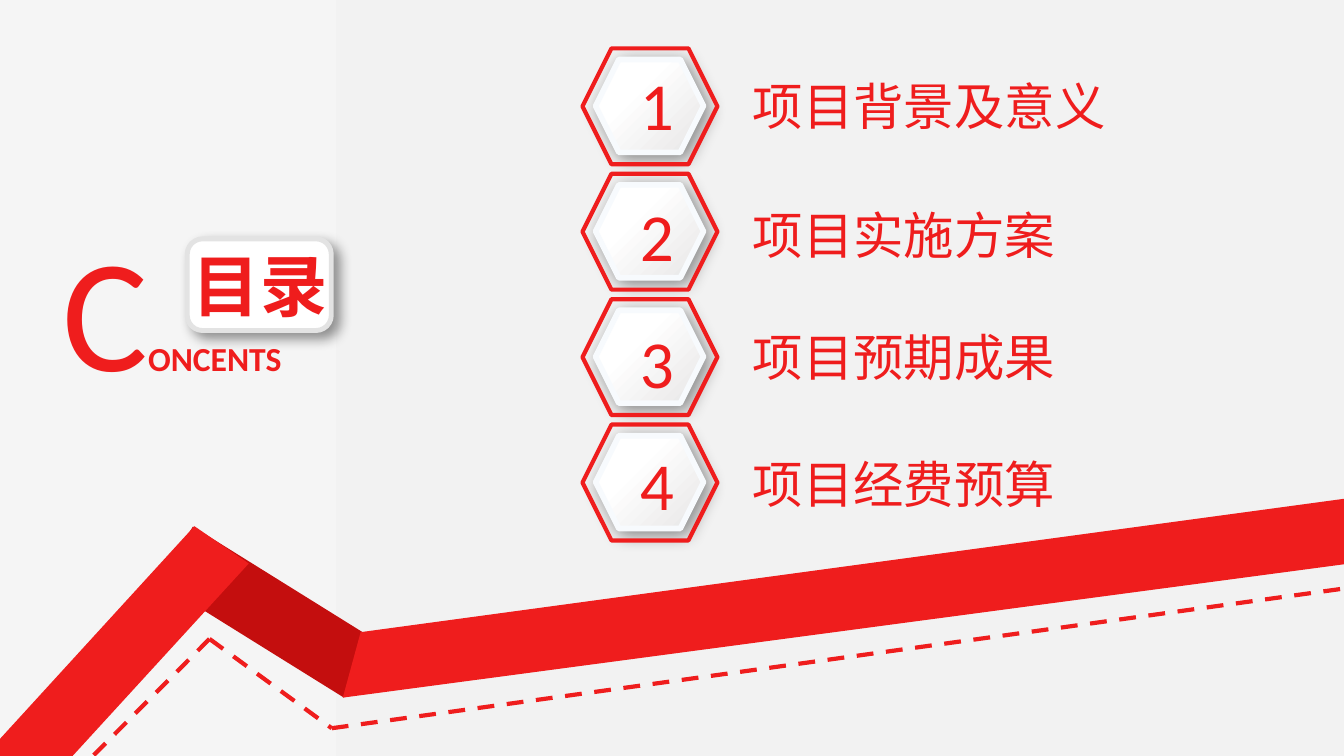
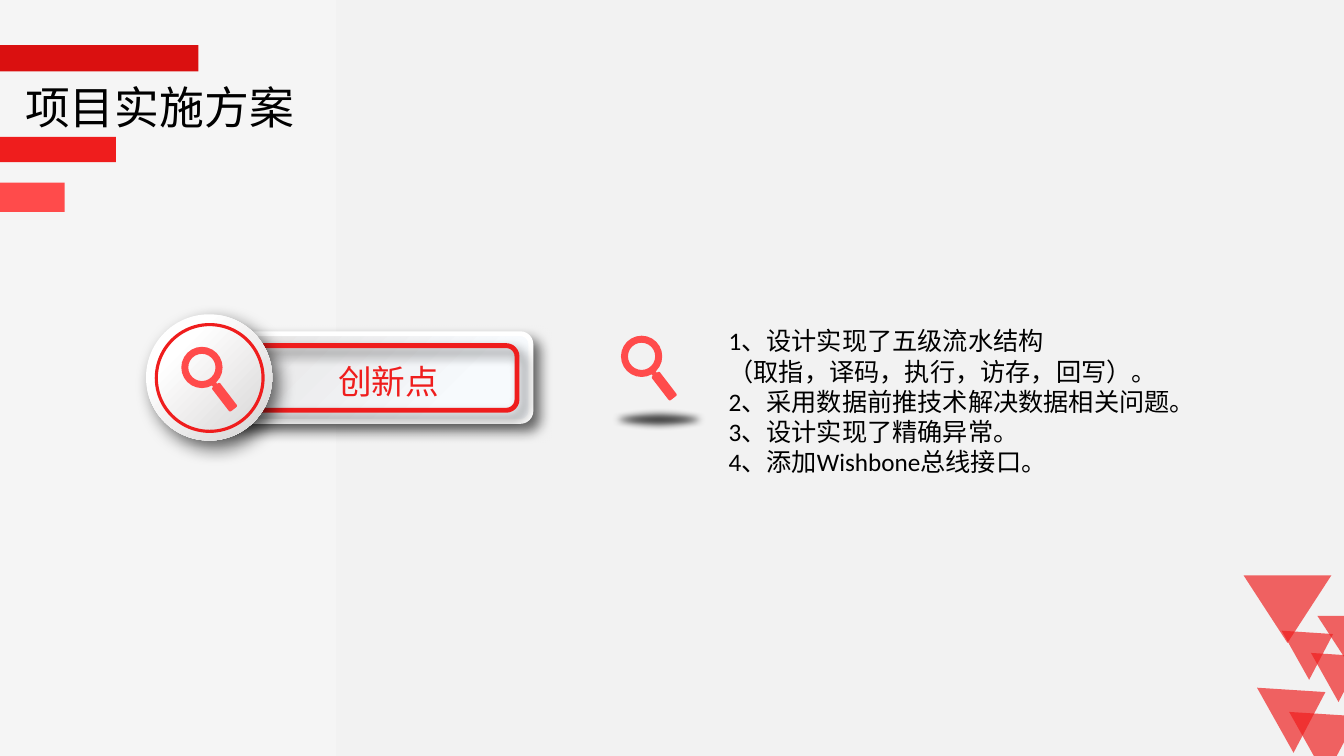
from lxml.etree import SubElement
from pptx import Presentation
from pptx.dml.color import RGBColor
from pptx.enum.dml import MSO_LINE
from pptx.enum.shapes import MSO_CONNECTOR, MSO_SHAPE
from pptx.enum.text import MSO_ANCHOR, PP_ALIGN
from pptx.oxml.ns import qn
from pptx.util import Cm, Pt

RECTANGLE, ROUNDED = MSO_SHAPE.RECTANGLE, MSO_SHAPE.ROUNDED_RECTANGLE
HEXAGON, OVAL = MSO_SHAPE.HEXAGON, MSO_SHAPE.OVAL
DONUT, TRIANGLE = MSO_SHAPE.DONUT, MSO_SHAPE.ISOSCELES_TRIANGLE
STRAIGHT, DASH = MSO_CONNECTOR.STRAIGHT, MSO_LINE.DASH
LEFT, CENTER, TOP = PP_ALIGN.LEFT, PP_ALIGN.CENTER, MSO_ANCHOR.TOP

COLORS = {
    "red": "EF1D1D", "dark": "C40E0E", "deep": "DA1010", "coral": "FF4B4B",
    "white": "FFFFFF", "black": "000000", "ice": "F7FAFD", "rim": "E3E3E3",
    "silver": "E7E6E6", "steel": "D6D4D4", "mist": "E3E1E1", "smoke": "404040",
    "page_left": "F5F5F5", "page": "F2F2F2",
}
CHINESE, LATIN = "Noto Sans CJK SC", "Calibri"
TITLE_ONLY = 5


def rgb(name):
    return RGBColor.from_string(COLORS[name])


def apply_gradient(fill, stops, angle=0):
    """Two stops of (position, colour); the angle runs clockwise."""
    fill.gradient()
    fill.gradient_angle = (360 - angle) % 360
    for stop, (position, color) in zip(fill.gradient_stops, stops):
        stop.position = position
        stop.color.rgb = rgb(color)


def add_effect(shape, tag, **attributes):
    effects = shape._element.spPr.find(qn("a:effectLst"))
    return SubElement(effects, qn(tag), {key: str(value) for key, value in attributes.items()})


def add_shadow(shape, opacity, blur, distance, angle=45):
    shadow = add_effect(shape, "a:outerShdw", blurRad=Pt(blur), dist=Pt(distance),
                        dir=angle * 60000, algn="tl", rotWithShape=0)
    color = SubElement(shadow, qn("a:srgbClr"), val=COLORS["black"])
    SubElement(color, qn("a:alpha"), val=str(opacity * 1000))


def format_shape(shape, fill=None, line=None, width=1, shadow=None, opacity=None):
    shape.shadow.inherit = False
    if fill is None:
        shape.fill.background()
    elif isinstance(fill, str):
        shape.fill.solid()
        shape.fill.fore_color.rgb = rgb(fill)
    else:
        apply_gradient(shape.fill, fill, 45)
    if opacity:
        color = shape._element.spPr.find(qn("a:solidFill"))[0]
        SubElement(color, qn("a:alpha"), val=str(opacity * 1000))
    if line:
        shape.line.color.rgb = rgb(line)
        shape.line.width = Pt(width)
    else:
        shape.line.fill.background()
    if shadow:
        add_shadow(shape, *shadow)
    return shape


def add_shape(owner, kind, box, rotation=0, adjustment=None, **style):
    shape = owner.shapes.add_shape(kind, *map(Cm, box))
    shape.rotation = rotation
    if adjustment is not None:
        shape.adjustments[0] = adjustment
    return format_shape(shape, **style)


def add_polygon(slide, points, **style):
    corners = [(Cm(x), Cm(y)) for x, y in points]
    builder = slide.shapes.build_freeform(*corners[0])
    builder.add_line_segments(corners[1:], close=True)
    return format_shape(builder.convert_to_shape(), **style)


def add_dashed_line(slide, start, end):
    connector = slide.shapes.add_connector(STRAIGHT, *map(Cm, start + end))
    connector.line.color.rgb = rgb("red")
    connector.line.width = Pt(3)
    connector.line.dash_style = DASH
    SubElement(connector._element.spPr, qn("a:effectLst"))


def format_run(run, size, color="red", font=CHINESE, bold=False):
    run.font.size = Pt(size)
    run.font.bold = bold
    run.font.name = font
    run.font.color.rgb = rgb(color)
    SubElement(run.font._element, qn("a:ea"), typeface=CHINESE)


def write_text(shape, text, align=LEFT, wrap=True, **style):
    frame = shape.text_frame
    frame.word_wrap = wrap
    frame.vertical_anchor = TOP
    frame.text = text
    for paragraph in frame.paragraphs:
        paragraph.alignment = align
        for run in paragraph.runs:
            format_run(run, **style)
    return shape


def add_text(slide, text, box, **style):
    return write_text(slide.shapes.add_textbox(*map(Cm, box)), text, **style)


def add_title(slide, text, box, **style):
    """Format the title placeholder and bring it to the front."""
    title = slide.shapes.title
    title.left, title.top, title.width, title.height = map(Cm, box)
    write_text(title, text, **style)
    title._element.getparent().append(title._element)


def add_slide(presentation):
    slide = presentation.slides.add_slide(presentation.slide_layouts[TITLE_ONLY])
    apply_gradient(slide.background.fill, [(0, "page_left"), (0.5, "page")])
    return slide


def add_magnifier(slide, left, top):
    group = slide.shapes.add_group_shape()
    add_shape(group, DONUT, (left, top, 1.04, 1.04), adjustment=0.17, fill="coral")
    # Neck and handle, each centred on the slanted axis
    for kind, x, y, length, breadth in ((RECTANGLE, 0.85, 0.97, 0.25, 0.13),
                                        (ROUNDED, 1.09, 1.27, 0.76, 0.25)):
        box = (left + x - length / 2, top + y - breadth / 2, length, breadth)
        add_shape(group, kind, box, rotation=52.5, fill="coral")


def add_contents_row(slide, index, label, number_top, label_top):
    top = 1.22 + 3.16 * index
    add_shape(slide, HEXAGON, (15.01, top + 0.28, 2.72, 2.34),
              fill=[(0.34, "white"), (1, "silver")], line="ice", width=4, shadow=(43, 13, 4))
    add_shape(slide, HEXAGON, (14.68, top, 3.4, 2.92), line="red", width=3)
    add_text(slide, str(index + 1), (15.54, number_top, 2.03, 2.31),
             size=48, font=LATIN, align=CENTER)
    add_text(slide, label, (18.72, label_top, 9.58, 1.8), size=36)


def build_contents(presentation):
    slide = add_slide(presentation)

    # Folded ribbon
    add_shape(slide, RECTANGLE, (4.01, 14.6, 5.51, 1.65), rotation=31.9, fill="dark")
    add_polygon(slide, [(0, 18.62), (4.9, 13.26), (6.27, 14.2), (1.83, 19.05), (0, 19.05)],
                fill="red")
    add_polygon(slide, [(9.09, 15.93), (33.87, 12.57), (33.87, 14.22), (8.64, 17.58)],
                fill="red")
    peak, valley = (5.28, 16.1), (8.36, 18.35)
    for start, end in ((peak, (2.34, 19.05)), (peak, valley), (valley, (33.87, 14.83))):
        add_dashed_line(slide, start, end)

    # Heading
    add_shape(slide, ROUNDED, (4.72, 6.02, 3.63, 2.31), fill="white",
              line="rim", width=3.5, shadow=(42, 9, 6))
    add_title(slide, "目录", (3.56, 6.02, 5.99, 2.31), size=48, bold=True, align=CENTER)
    caption = add_text(slide, "C", (1.32, 5.18, 9.14, 5.18), size=115, font=LATIN)
    ending = caption.text_frame.paragraphs[0].add_run()
    ending.text = "ONCENTS"
    format_run(ending, 24, font=LATIN, bold=True)

    # Numbered sections: label, top of number, top of label
    sections = (("项目背景及意义", 1.47, 1.78), ("项目实施方案", 4.78, 5.03),
                ("项目预期成果", 7.98, 8.1), ("项目经费预算", 11.05, 11.3))
    for index, section in enumerate(sections):
        add_contents_row(slide, index, *section)


def build_innovation(presentation):
    slide = add_slide(presentation)

    # Title with bars
    for top, width, height, color in ((1.14, 5, 0.66, "deep"), (3.45, 2.92, 0.64, "red"),
                                      (4.6, 1.63, 0.74, "coral")):
        add_shape(slide, RECTANGLE, (0, top, width, height), fill=color)
    add_title(slide, "项目实施方案", (0.38, 1.88, 7.34, 1.63),
              size=32, color="black", wrap=False)

    # Corner triangles
    large, medium, small = (2.21, 1.7, 180), (1.88, 1.45, 60.7), (1.42, 1.09, 60.7)
    for left, top, (width, height, rotation) in (
            (32.41, 15.7, small), (33.2, 15.52, large), (31.83, 17.07, medium),
            (33.15, 16.26, small), (31.34, 14.5, large), (32.64, 17.68, medium)):
        add_shape(slide, TRIANGLE, (left, top, width, height), rotation=rotation,
                  fill="red", opacity=68)

    # Label plate with round badge
    add_shape(slide, ROUNDED, (5.28, 8.41, 8.1, 2.21), adjustment=0.12,
              fill=[(0, "mist"), (0.77, "ice")], line="white", width=3.5, shadow=(56, 9, 7))
    add_shape(slide, ROUNDED, (5.64, 8.71, 7.39, 1.63), line="red", width=3.5,
              shadow=(56, 9, 7))
    add_shape(slide, OVAL, (3.68, 7.92, 3.18, 3.18),
              fill=[(0.26, "white"), (0.98, "steel")], shadow=(61, 13, 7, 50))
    add_shape(slide, OVAL, (3.94, 8.18, 2.69, 2.69), line="red", width=2.25)
    add_magnifier(slide, 4.57, 8.74)
    add_text(slide, "创新点", (8.26, 8.97, 3.07, 1.27), size=24, align=CENTER, wrap=False)

    # Innovation points
    add_magnifier(slide, 15.65, 8.46)
    floor_shadow = add_shape(slide, OVAL, (15.11, 10.26, 3, 0.61), fill="smoke")
    add_effect(floor_shadow, "a:softEdge", rad=Pt(5))
    points = ("1、设计实现了五级流水结构\v（取指，译码，执行，访存，回写）。",
              "2、采用数据前推技术解决数据相关问题。",
              "3、设计实现了精确异常。",
              "4、添加Wishbone总线接口。")
    add_text(slide, "\n".join(points), (18.11, 8.08, 12.07, 4.11),
             size=18, color="black", font=LATIN)


def main():
    presentation = Presentation()
    presentation.slide_width, presentation.slide_height = Cm(33.87), Cm(19.05)
    build_contents(presentation)
    build_innovation(presentation)
    presentation.save("out.pptx")


if __name__ == "__main__":
    main()
